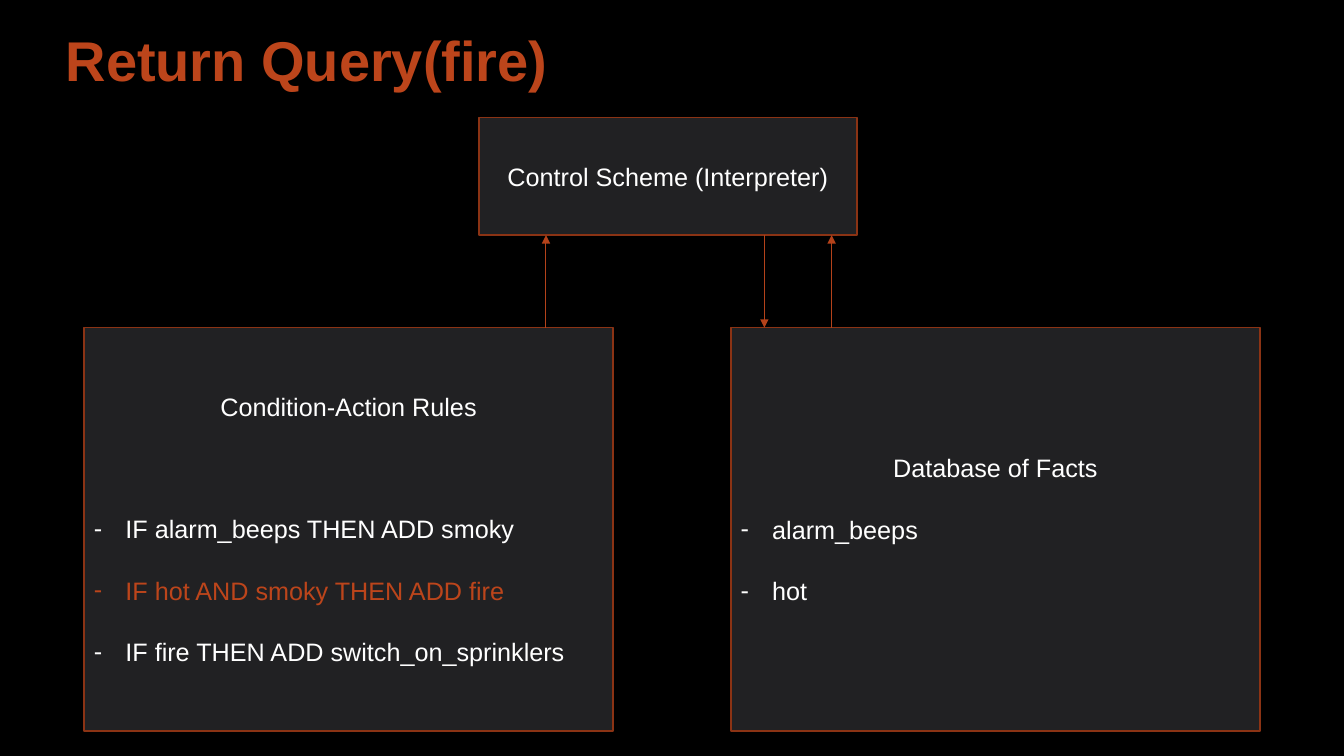
import pptx
import pptx.dml.color
import pptx.enum.dml
import pptx.enum.shapes
import pptx.enum.text
import pptx.oxml.ns
import pptx.util
import lxml.etree

PX = 9525
FONT = "Arial"
BLACK, PANEL, EDGE = "000000", "212123", "8B3314"
ARROW, ACCENT, WHITE = "B4421A", "BC451B", "FFFFFF"
ITEM_GAP = 22.4
INDENT = 30

TITLE = "Return Query(fire)"
TITLE_AREA = (16, 32, 552, 108)

BOX_BOTTOM, PANEL_TOP = 224, 312
PANELS = [
    ((456, 112, 360, BOX_BOTTOM - 112), "Control Scheme (Interpreter)", 0, []),
    ((80, PANEL_TOP, 504, 384), "Condition-Action Rules", 65.6, [
        ("IF alarm_beeps THEN ADD smoky", WHITE),
        ("IF hot AND smoky THEN ADD fire", ACCENT),
        ("IF fire THEN ADD switch_on_sprinklers", WHITE),
    ]),
    ((696, PANEL_TOP, 504, 384), "Database of Facts", ITEM_GAP, [
        ("alarm_beeps", WHITE),
        ("hot", WHITE),
    ]),
]
ARROWS = [
    (520, PANEL_TOP, BOX_BOTTOM),
    (728, BOX_BOTTOM, PANEL_TOP),
    (792, PANEL_TOP, BOX_BOTTOM),
]


def color(value):
    return pptx.dml.color.RGBColor.from_string(value)


def px(*lengths):
    return [length * PX for length in lengths]


def add_child(parent, tag, **attributes):
    return lxml.etree.SubElement(parent, pptx.oxml.ns.qn(tag), attributes)


def write(para, text, size, shade, centered=True, bold=False):
    para.text = text
    align = pptx.enum.text.PP_ALIGN
    para.alignment = align.CENTER if centered else align.LEFT
    para.font.name = FONT
    para.font.size = pptx.util.Pt(size)
    para.font.bold = bold
    para.font.color.rgb = color(shade)


def add_title(page):
    box = page.shapes.add_textbox(*px(*TITLE_AREA))
    box.text_frame.word_wrap = True
    para = box.text_frame.paragraphs[0]
    write(para, TITLE, 40, ACCENT, bold=True)
    para.line_spacing = 0.8
    para.space_before = pptx.util.Pt(4)


def add_panel(page, area, heading, heading_gap, items):
    box = page.shapes.add_shape(
        pptx.enum.shapes.MSO_SHAPE.RECTANGLE, *px(*area))
    box.shadow.inherit = False
    box.fill.solid()
    box.fill.fore_color.rgb = color(PANEL)
    box.line.color.rgb = color(EDGE)
    box.line.width = pptx.util.Pt(1.25)
    frame = box.text_frame
    frame.word_wrap = True
    frame.vertical_anchor = pptx.enum.text.MSO_ANCHOR.MIDDLE
    write(frame.paragraphs[0], heading, 18, WHITE)
    for index, (text, shade) in enumerate(items):
        para = frame.add_paragraph()
        write(para, text, 18, shade, centered=False)
        para.space_before = pptx.util.Pt(ITEM_GAP if index else heading_gap)
        properties = para._p.get_or_add_pPr()
        properties.set("marL", str(INDENT * PX))
        properties.set("indent", str(-INDENT * PX))
        add_child(properties, "a:buFont", typeface=FONT)
        add_child(properties, "a:buChar", char="-")
        default = properties.find(pptx.oxml.ns.qn("a:defRPr"))
        if default is not None:
            properties.append(default)


def add_arrow(page, x, start, end):
    arrow = page.shapes.add_connector(
        pptx.enum.shapes.MSO_CONNECTOR.STRAIGHT, *px(x, start, x, end))
    arrow.line.color.rgb = color(ARROW)
    arrow.line.width = pptx.util.Pt(0.75)
    add_child(arrow.line._get_or_add_ln(), "a:tailEnd", type="triangle")
    add_child(arrow._element.spPr, "a:effectLst")


def main():
    deck = pptx.Presentation()
    deck.slide_width, deck.slide_height = px(1280, 720)
    page = deck.slides.add_slide(deck.slide_layouts[6])
    page.background.fill.solid()
    page.background.fill.fore_color.rgb = color(BLACK)
    add_title(page)
    for panel in PANELS:
        add_panel(page, *panel)
    for arrow in ARROWS:
        add_arrow(page, *arrow)
    deck.save("out.pptx")


if __name__ == "__main__":
    main()
